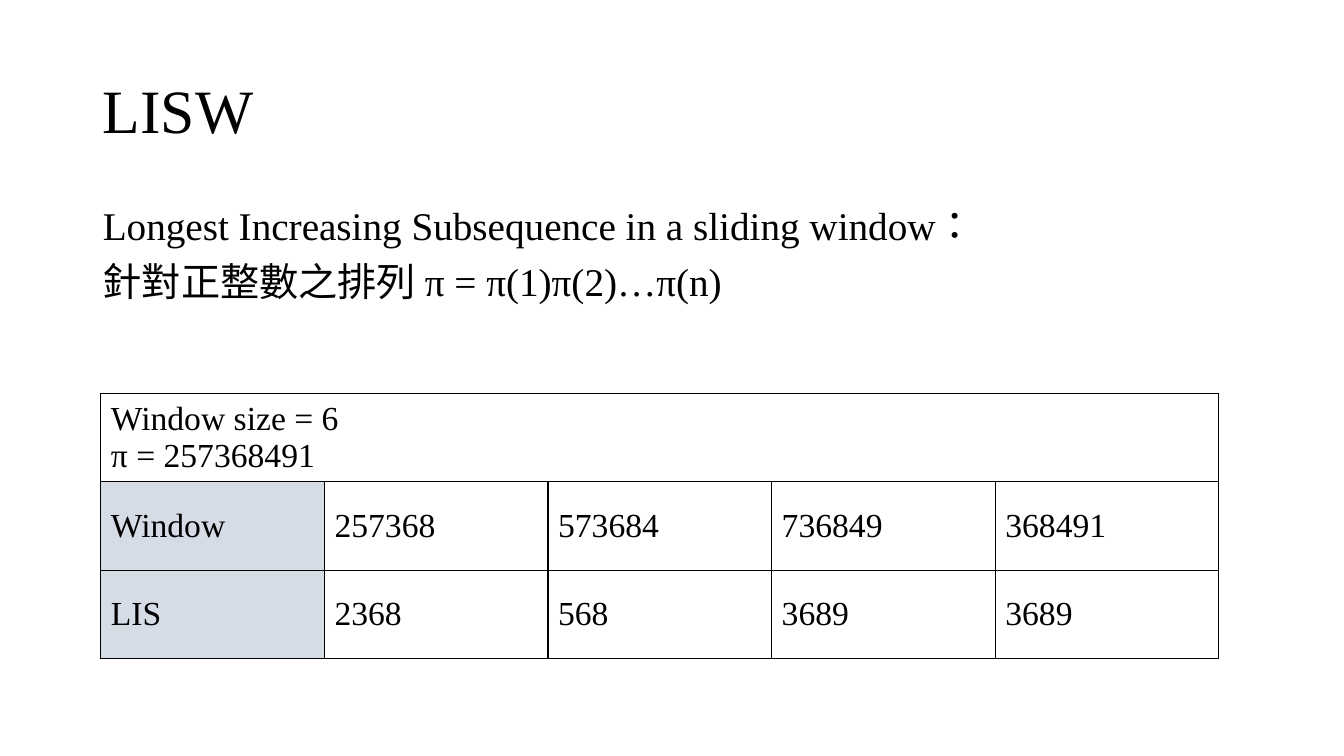
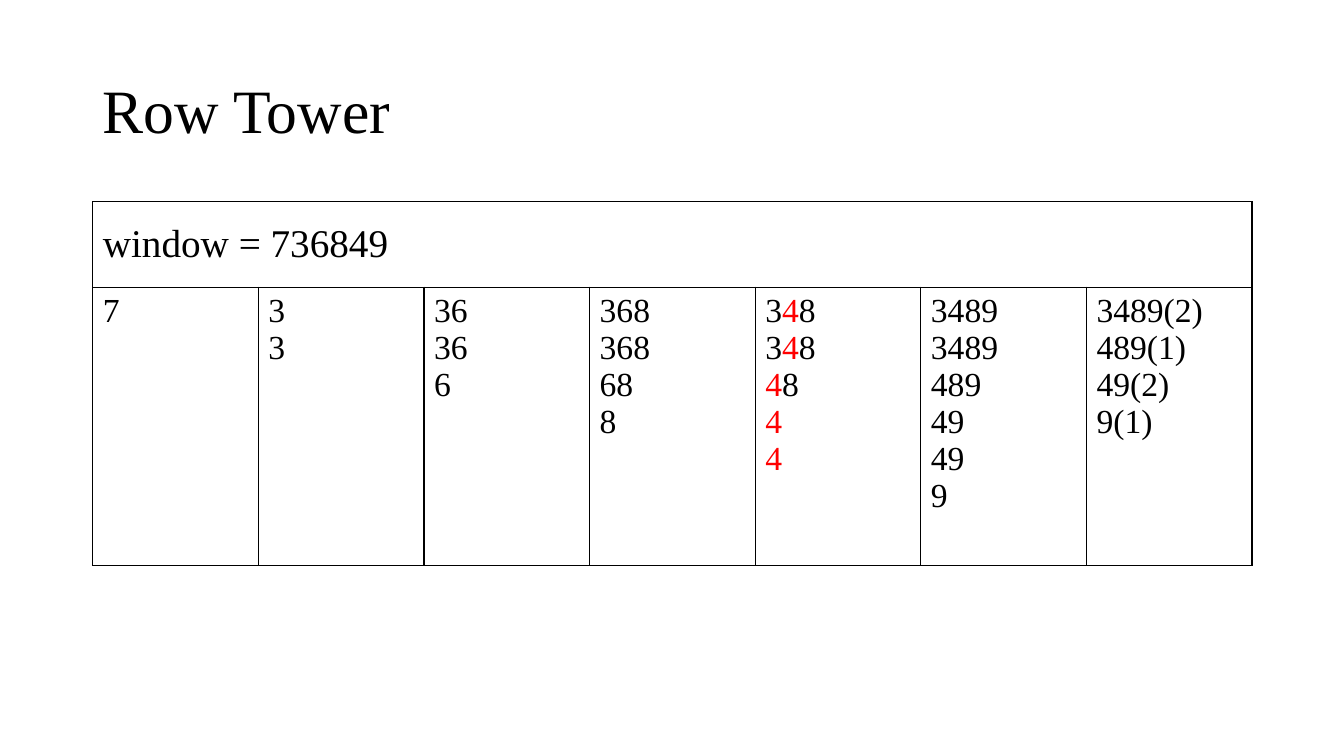
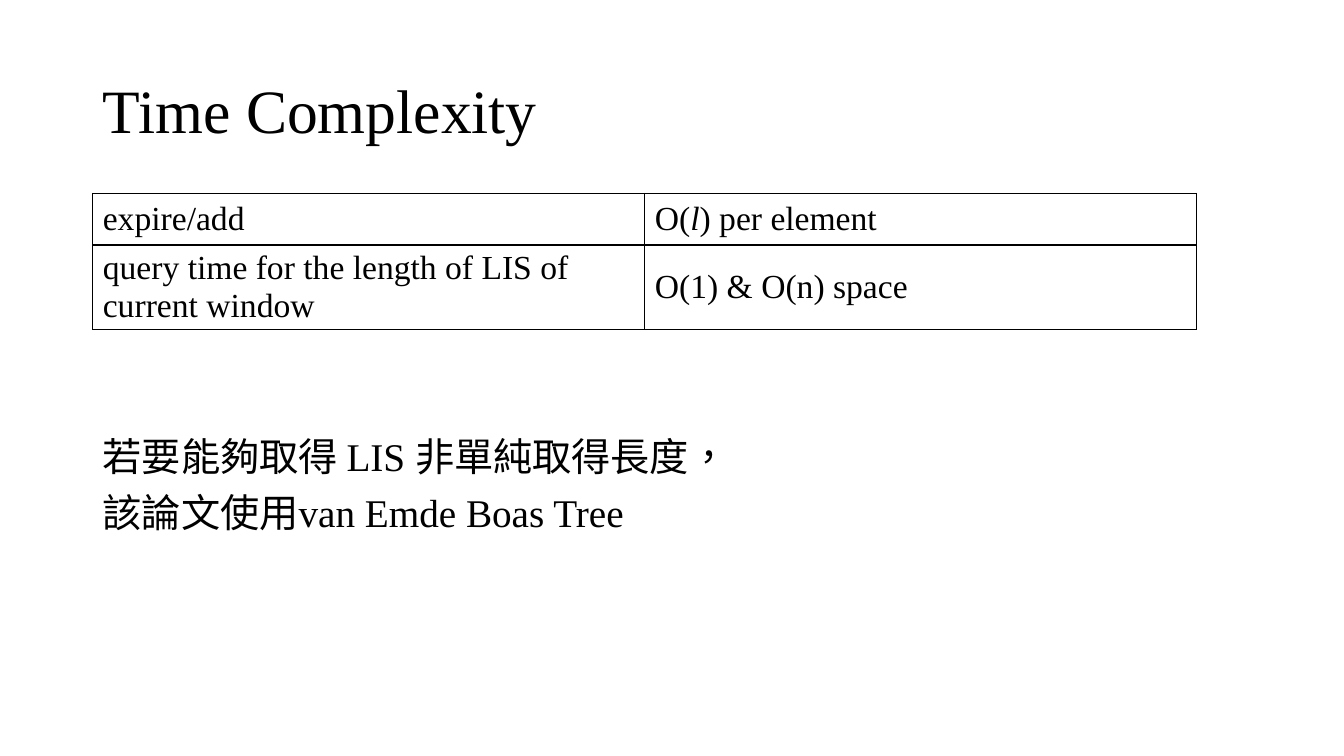
from lxml import etree
from pptx import Presentation
from pptx.dml.color import RGBColor
from pptx.enum.text import MSO_ANCHOR, MSO_AUTO_SIZE, PP_ALIGN
from pptx.oxml.ns import qn
from pptx.util import Inches, Pt

TOP, MIDDLE = MSO_ANCHOR.TOP, MSO_ANCHOR.MIDDLE
LEFT = PP_ALIGN.LEFT
NO_AUTOFIT = MSO_AUTO_SIZE.NONE
TITLE_AND_BODY, TITLE_ONLY = 1, 5
COLOURS = {"ink": "000000", "paper": "FFFFFF", "label": "D6DCE5", "accent": "FF0000"}
FONT = "Times New Roman"
MARGIN, CONTENT_WIDTH = 0.92, 11.5


def colour(name):
    return RGBColor.from_string(COLOURS[name])


def write_text(frame, text, size=24, anchor=MIDDLE, line_spacing=None,
               space_before=0, plain=False, marked_colour="ink", marked_italic=False):
    frame.word_wrap = True
    frame.vertical_anchor = anchor
    for index, line in enumerate(text.split("\n")):
        paragraph = frame.add_paragraph() if index else frame.paragraphs[0]
        if plain:
            properties = paragraph._p.get_or_add_pPr()
            properties.set("marL", "0")
            properties.set("indent", "0")
            etree.SubElement(properties, qn("a:buNone"))
        paragraph.alignment = LEFT
        paragraph.line_spacing = line_spacing
        paragraph.space_before = Pt(space_before if index else 0)
        for position, piece in enumerate(line.split("|")):
            if not piece:
                continue
            marked = position % 2 == 1
            run = paragraph.add_run()
            run.text = piece
            run._r.get_or_add_rPr().set("lang", "zh-TW")
            run.font.name = FONT
            run.font.size = Pt(size)
            run.font.italic = marked and marked_italic
            run.font.color.rgb = colour(marked_colour if marked else "ink")


def draw_borders(cell):
    properties = cell._tc.get_or_add_tcPr()
    for index, side in enumerate(("lnL", "lnR", "lnT", "lnB")):
        line = etree.Element(qn(f"a:{side}"), w=str(Pt(1)))
        fill = etree.SubElement(line, qn("a:solidFill"))
        etree.SubElement(fill, qn("a:srgbClr"), val=COLOURS["ink"])
        properties.insert(index, line)


class Deck:
    def __init__(self):
        self.presentation = Presentation()
        self.presentation.slide_width = Inches(13.33)
        self.presentation.slide_height = Inches(7.5)
        self.slide = None

    def add_slide(self, title, layout=TITLE_AND_BODY):
        self.slide = self.presentation.slides.add_slide(
            self.presentation.slide_layouts[layout])
        self.fill_placeholder(self.slide.shapes.title, title, 0.4, 1.45,
                              size=44, line_spacing=0.9)

    def fill_placeholder(self, shape, text, top, height, **style):
        shape.left, shape.top = Inches(MARGIN), Inches(top)
        shape.width, shape.height = Inches(CONTENT_WIDTH), Inches(height)
        shape.text_frame.auto_size = NO_AUTOFIT
        write_text(shape.text_frame, text, **style)

    def add_body(self, text, top, height):
        self.fill_placeholder(self.slide.placeholders[1], text, top, height, size=28,
                              anchor=TOP, line_spacing=0.9, space_before=10, plain=True)

    def add_table(self, rows, left, top, width, heights, heading=None,
                  heading_size=24, label_column=False, **style):
        columns = len(rows[0])
        if heading:
            rows = [[heading] + [""] * (columns - 1)] + rows
        table = self.slide.shapes.add_table(
            len(rows), columns, Inches(left), Inches(top),
            Inches(width), Inches(sum(heights))).table
        table.first_row = table.horz_banding = False
        for column in table.columns:
            column.width = Inches(width / columns)
        for row, height in zip(table.rows, heights):
            row.height = Inches(height)
        if heading:
            table.cell(0, 0).merge(table.cell(0, columns - 1))
        for row_index, row in enumerate(rows):
            is_heading = bool(heading) and row_index == 0
            for column_index, text in enumerate(row):
                cell = table.cell(row_index, column_index)
                is_label = label_column and column_index == 0 and not is_heading
                cell.fill.solid()
                cell.fill.fore_color.rgb = colour("label" if is_label else "paper")
                draw_borders(cell)
                if is_heading:
                    cell_style = {"size": heading_size}
                else:
                    cell_style = style
                write_text(cell.text_frame, text, **cell_style)
                cell.vertical_anchor = cell_style.get("anchor", MIDDLE)


def main():
    deck = Deck()

    deck.add_slide("LISW")
    deck.add_body("Longest Increasing Subsequence in a sliding window：\n"
                  "針對正整數之排列 π = π(1)π(2)…π(n)", 2, 4.76)
    deck.add_table([["Window", "257368", "573684", "736849", "368491"],
                    ["LIS", "2368", "568", "3689", "3689"]],
                   1, 3.9, 11.09, [0.88, 0.88, 0.87],
                   heading="Window size = 6\nπ = 257368491", label_column=True)

    deck.add_slide("Row Tower", TITLE_ONLY)
    deck.add_table([["7", "3\n3", "36\n36\n6", "368\n368\n68\n8",
                     "3|4|8\n3|4|8\n|4|8\n|4|\n|4|",
                     "3489\n3489\n489\n49\n49\n9",
                     "3489(2)\n489(1)\n49(2)\n9(1)"]],
                   MARGIN, 2, CONTENT_WIDTH, [0.85, 2.76],
                   heading="window = 736849", heading_size=28,
                   anchor=TOP, marked_colour="accent")

    deck.add_slide("Time Complexity")
    deck.add_body("若要能夠取得 LIS 非單純取得長度，\n該論文使用van Emde Boas Tree", 4.29, 1.55)
    deck.add_table([["expire/add", "O(|l|) per element"],
                    ["query time for the length of LIS of current window",
                     "O(1) & O(n) space"]],
                   MARGIN, 1.92, 10.95, [0.51, 0.51], marked_italic=True)

    deck.presentation.save("out.pptx")


if __name__ == "__main__":
    main()
